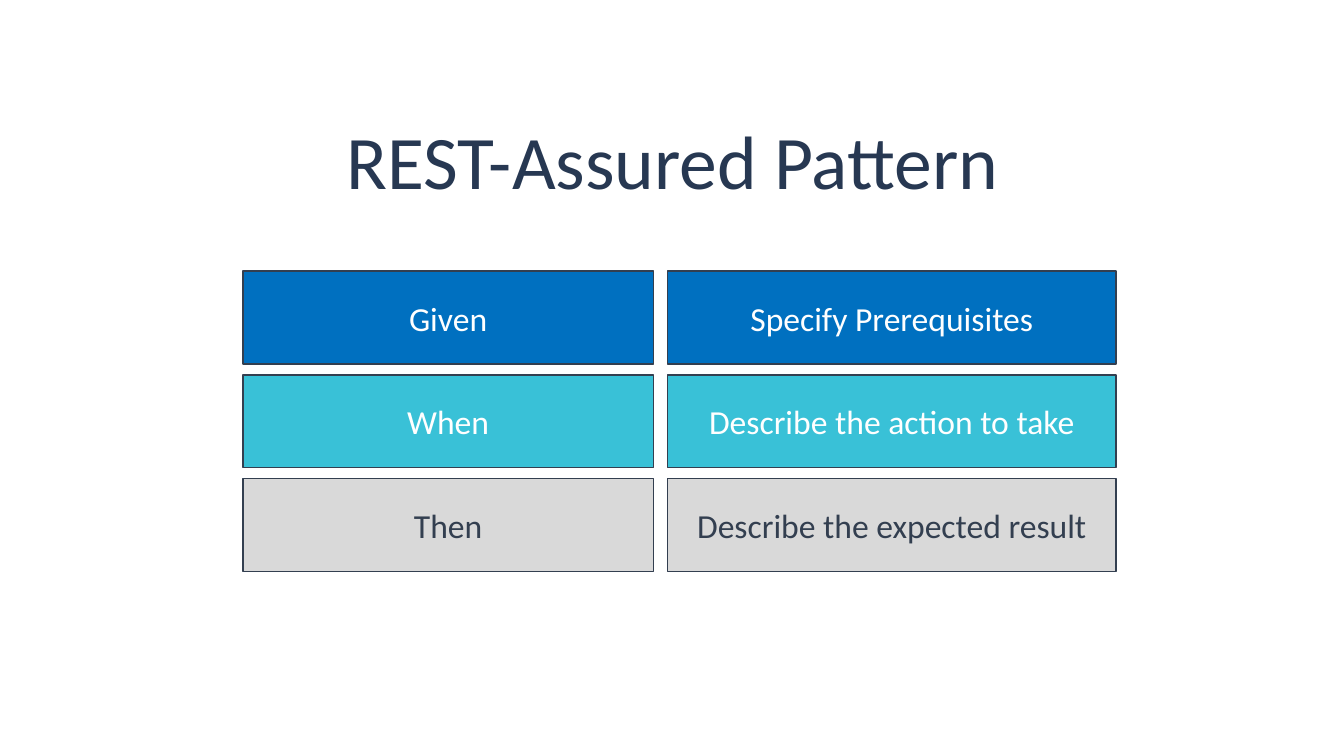
from dataclasses import dataclass

import pptx
import pptx.dml.color
import pptx.enum.shapes
import pptx.enum.text
import pptx.util

PX = 9144  # EMU per px, 100 px to the inch
FONT = "Calibri"
COLORS = {
    "title": "273852",
    "given": "0070C0",
    "when": "39C1D7",
    "then": "D9D9D9",
    "dark": "333F50",
    "white": "FFFFFF",
}
TOP, BOX_HEIGHT, ROW_PITCH = 269, 92, 103


@dataclass
class Step:
    texts: tuple[str, str]
    fill: str
    color: str


@dataclass
class Column:
    left: int
    width: int


STEPS = [
    Step(("Given", "Specify Prerequisites"), "given", "white"),
    Step(("When", "Describe the action to take"), "when", "white"),
    Step(("Then", "Describe the expected result"), "then", "dark"),
]
COLUMNS = [Column(241, 407), Column(662, 445)]


def px(n: int) -> pptx.util.Emu:
    return pptx.util.Emu(n * PX)


def rgb(name: str) -> pptx.dml.color.RGBColor:
    return pptx.dml.color.RGBColor.from_string(COLORS[name])


def set_text(sp, text: str, size: int, color: str) -> None:
    tf = sp.text_frame
    tf.text = text
    tf.word_wrap = True
    tf.vertical_anchor = pptx.enum.text.MSO_ANCHOR.MIDDLE
    p = tf.paragraphs[0]
    p.alignment = pptx.enum.text.PP_ALIGN.CENTER
    r = p.runs[0]
    r.font.name = FONT
    r.font.size = pptx.util.Pt(size)
    r.font.color.rgb = rgb(color)


def add_title(s, text: str) -> None:
    sp = s.shapes.title
    sp.left, sp.top, sp.width, sp.height = px(92), px(91), px(1150), px(145)
    set_text(sp, text, 54, "title")
    sp.text_frame.paragraphs[0].line_spacing = 0.9


def add_box(s, column: Column, top: int, text: str, step: Step) -> None:
    sp = s.shapes.add_shape(
        pptx.enum.shapes.MSO_SHAPE.RECTANGLE,
        px(column.left), px(top), px(column.width), px(BOX_HEIGHT),
    )
    sp.shadow.inherit = False
    sp.fill.solid()
    sp.fill.fore_color.rgb = rgb(step.fill)
    sp.line.color.rgb = rgb("dark")
    sp.line.width = pptx.util.Pt(1)
    set_text(sp, text, 24, step.color)


def main() -> None:
    prs = pptx.Presentation()
    prs.slide_width, prs.slide_height = px(1333), px(750)
    s = prs.slides.add_slide(prs.slide_layouts[5])

    # Title
    add_title(s, "REST-Assured Pattern")

    # Keywords on the left, their meaning on the right
    for i, column in enumerate(COLUMNS):
        for row, step in enumerate(STEPS):
            add_box(s, column, TOP + row * ROW_PITCH, step.texts[i], step)

    prs.save("out.pptx")


if __name__ == "__main__":
    main()
